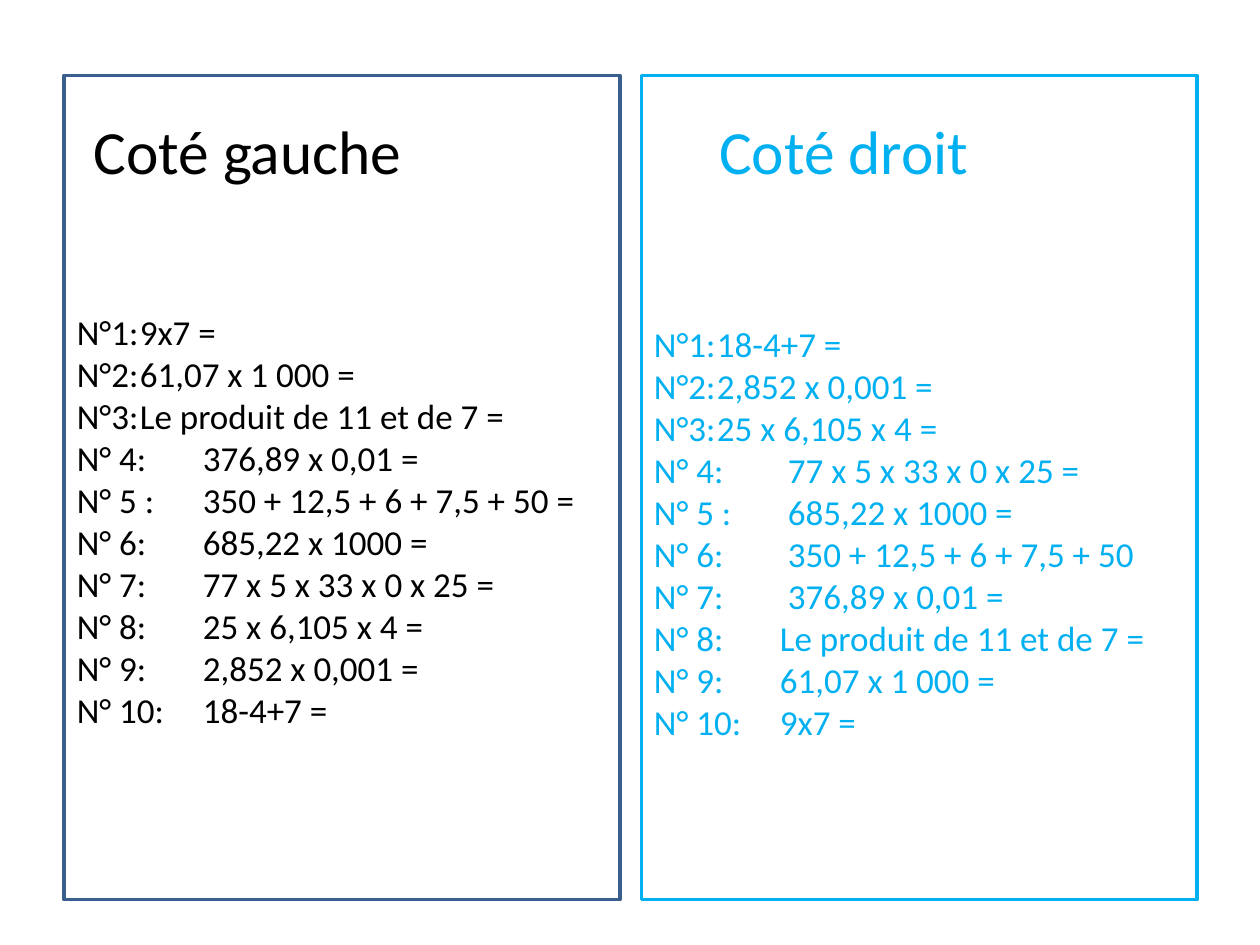
from pptx import Presentation
from pptx.dml.color import RGBColor as RGB
from pptx.enum.shapes import MSO_SHAPE as Form
from pptx.enum.text import MSO_ANCHOR as Anchor, MSO_AUTO_SIZE as Fit, PP_ALIGN as Align
from pptx.util import Pt

BLACK = RGB(0x00, 0x00, 0x00)
NAVY = RGB(0x3A, 0x5F, 0x8C)
SKY = RGB(0x00, 0xB0, 0xF0)

TOP, WIDE, HIGH = 43.2, 317.5, 470.9
LABELS = ["N°1:", "N°2:", "N°3:", "N° 4:", "N° 5 :",
          "N° 6:", "N° 7:", "N° 8:", "N° 9:", "N° 10:"]
LEFT = ["9x7 =", "61,07 x 1 000 =", "Le produit de 11 et de 7 =",
        "376,89 x 0,01 =", "350 + 12,5 + 6 + 7,5 + 50 =",
        "685,22 x 1000 =", "77 x 5 x 33 x 0 x 25 =",
        "25 x 6,105 x 4 =", "2,852 x 0,001 =", "18-4+7 ="]
RIGHT = ["18-4+7 =", "2,852 x 0,001 =", "25 x 6,105 x 4 =",
         " 77 x 5 x 33 x 0 x 25 =", " 685,22 x 1000 =",
         " 350 + 12,5 + 6 + 7,5 + 50", " 376,89 x 0,01 =",
         "Le produit de 11 et de 7 =", "61,07 x 1 000 =", "9x7 ="]


def apply(item, vals):
    """Set each named value on the item."""
    for name, val in vals.items():
        setattr(item, name, val)


def place(item, x, y, w, h):
    """Move and size an item, in points."""
    apply(item, dict(left=Pt(x), top=Pt(y), width=Pt(w), height=Pt(h)))


def write(item, lines, size, ink, align, foot=3.6):
    """Fill an item with lines of text in one style."""
    frame = item.text_frame
    frame.text = "\n".join(lines)
    apply(frame, dict(word_wrap=True, auto_size=Fit.NONE,
                      vertical_anchor=Anchor.MIDDLE, margin_bottom=Pt(foot)))
    for para in frame.paragraphs:
        apply(para, dict(alignment=align, space_before=Pt(0)))
        for run in para.runs:
            apply(run.font, dict(name="Calibri", size=Pt(size)))
            run.font.color.rgb = ink


def panel(slide, x, edge, ink, head, shift, body, box, sums, foot=3.6):
    """Draw one framed side with its heading and its numbered sums."""
    frame = slide.shapes.add_shape(Form.RECTANGLE, Pt(x), Pt(TOP), Pt(WIDE), Pt(HIGH))
    frame.shadow.inherit = False
    frame.fill.background()
    frame.line.color.rgb = edge
    frame.line.width = Pt(2)
    title = slide.shapes.add_textbox(Pt(x + shift), Pt(TOP + 5.8), Pt(209.5), Pt(73.4))
    write(title, [head], 35.1, ink, Align.CENTER)
    down, w, h = box
    place(body, x, TOP + down, w, h)
    rows = [f"{label}\t{sum_}" for label, sum_ in zip(LABELS, sums)]
    write(body, rows, 20, ink, Align.LEFT, foot)


def main():
    """Build the slide and save it."""
    deck = Presentation()
    apply(deck, dict(slide_width=Pt(720), slide_height=Pt(540)))
    slide = deck.slides.add_slide(deck.slide_layouts[0])
    first, second = slide.placeholders
    panel(slide, 36.7, NAVY, BLACK, "Coté gauche", 0,
          first, (79.2, WIDE, 374.4), LEFT, 27.6)
    panel(slide, 366.5, SKY, SKY, "Coté droit", 10.8,
          second, (108, 311, 306), RIGHT)
    deck.save("out.pptx")


main()
